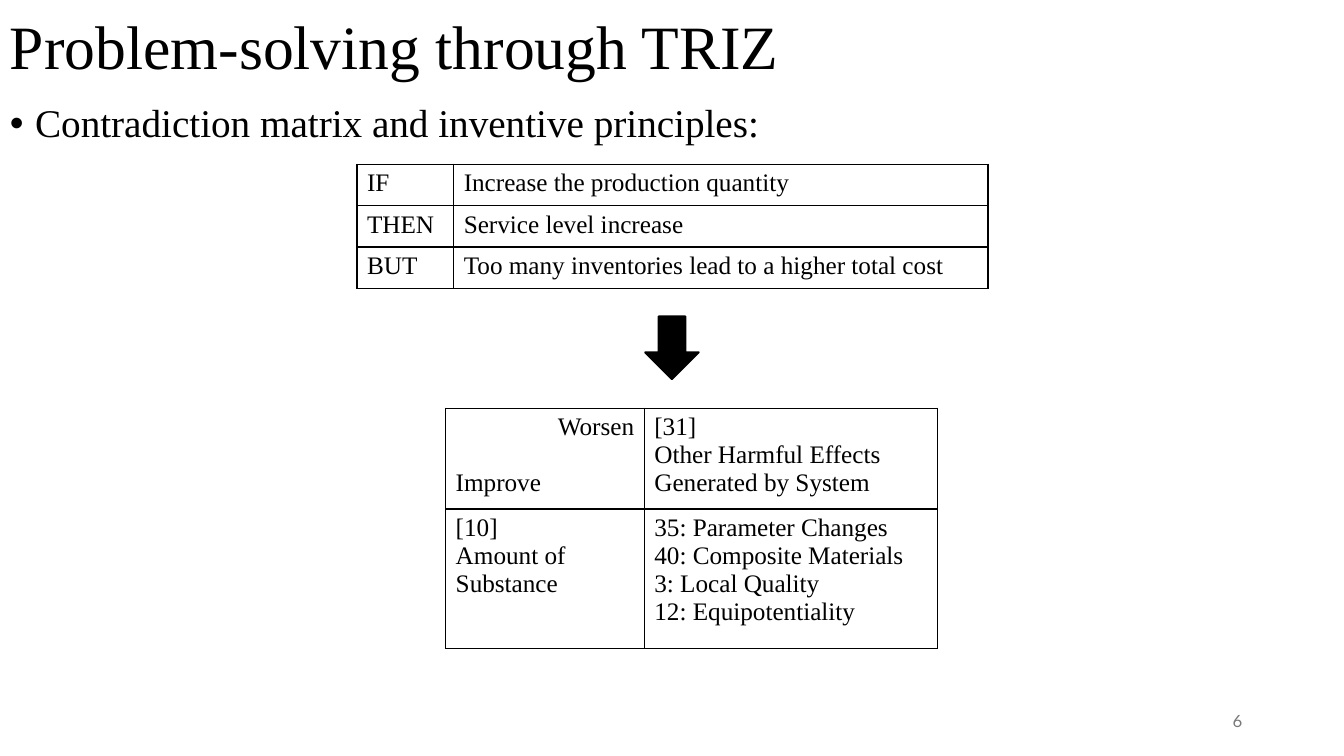
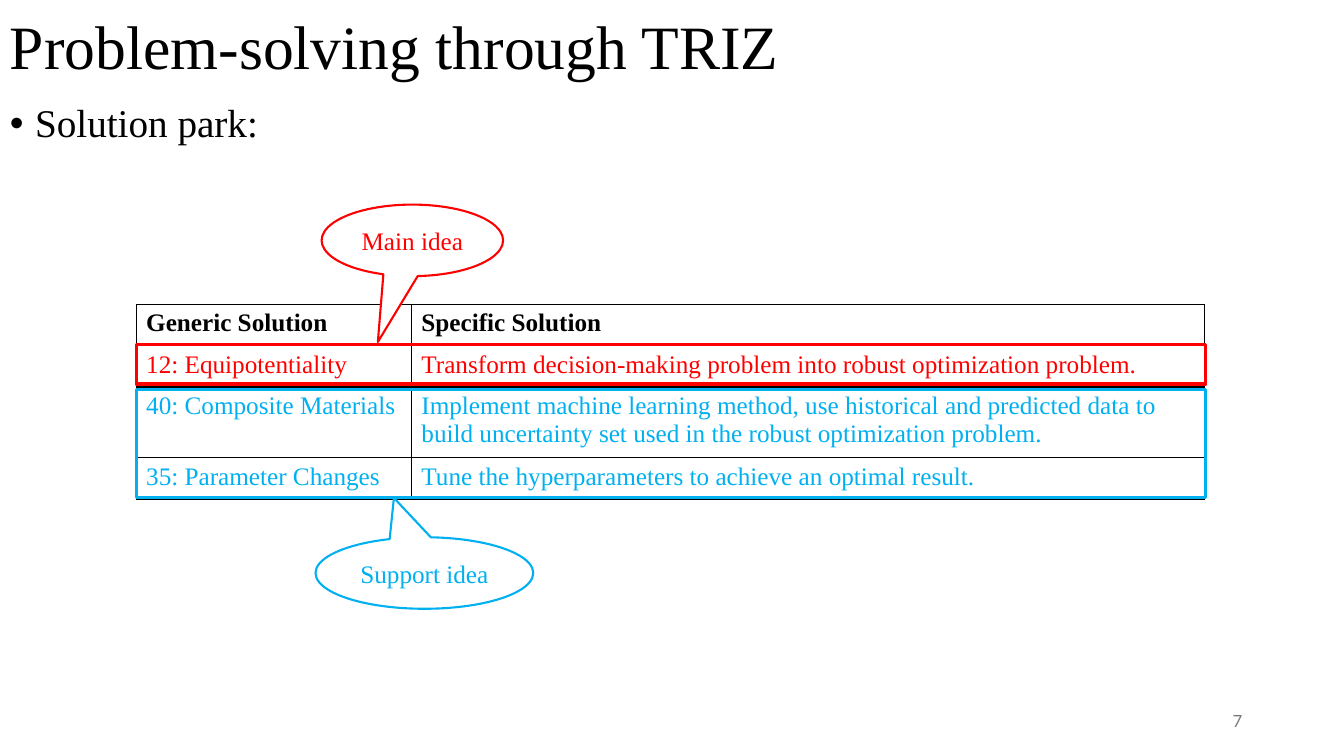
import lxml.etree
import pptx
import pptx.dml.color
import pptx.enum.shapes
import pptx.enum.text
import pptx.oxml.ns
import pptx.util

Inches = pptx.util.Inches
Pt = pptx.util.Pt
qn = pptx.oxml.ns.qn
ALIGN = pptx.enum.text.PP_ALIGN
ANCHOR = pptx.enum.text.MSO_ANCHOR
SHAPE = pptx.enum.shapes.MSO_SHAPE

COLORS = {
    "ink": "000000",
    "paper": "FFFFFF",
    "number": "797979",
    "main": "FF0000",
    "support": "00B0F0",
}
SERIF = "Times New Roman"


def rgb(name):
    return pptx.dml.color.RGBColor.from_string(COLORS[name])


def write(paragraph, text, size=18, font=SERIF, color="ink", bold=False,
          align=ALIGN.LEFT, line_spacing=None, before=0):
    paragraph.alignment = align
    paragraph.space_before = Pt(before)
    if line_spacing:
        paragraph.line_spacing = line_spacing
    span = paragraph.add_run()
    span.text = text
    span.font.size = Pt(size)
    span.font.name = font
    span.font.bold = bold
    span.font.color.rgb = rgb(color)


class Slides:
    def __init__(self):
        self.deck = pptx.Presentation()
        self.deck.slide_width = Inches(13.33)
        self.deck.slide_height = Inches(7.5)
        self.page = None

    def start(self, title, topic, number):
        self.page = self.deck.slides.add_slide(self.deck.slide_layouts[6])
        self.text(0, 0, 11.5, 0.98, title, ANCHOR.MIDDLE, size=44, line_spacing=0.9)
        self.bullet(topic)
        self.text(9.42, 6.95, 3, 0.4, number, ANCHOR.MIDDLE, size=12, font="Lato",
                  color="number", align=ALIGN.RIGHT)

    def text(self, left, top, width, height, text, anchor=ANCHOR.TOP, **style):
        box = self.page.shapes.add_textbox(
            Inches(left), Inches(top), Inches(width), Inches(height))
        box.text_frame.word_wrap = True
        box.text_frame.vertical_anchor = anchor
        paragraph = box.text_frame.paragraphs[0]
        write(paragraph, text, **style)
        return paragraph

    def bullet(self, text):
        paragraph = self.text(0, 0.98, 11.5, 6.52, text, size=28,
                              line_spacing=0.9, before=10)
        properties = paragraph._p.get_or_add_pPr()
        properties.set("marL", str(Inches(0.25)))
        properties.set("indent", str(-Inches(0.25)))
        lxml.etree.SubElement(properties, qn("a:buFont"), typeface="Arial")
        lxml.etree.SubElement(properties, qn("a:buChar"), char="•")

    def table(self, left, top, widths, heights, rows, styles=None):
        table = self.page.shapes.add_table(
            len(rows), len(widths), Inches(left), Inches(top),
            Inches(sum(widths)), Inches(sum(heights))).table
        table.first_row = False
        table.horz_banding = False
        for column, width in zip(table.columns, widths):
            column.width = Inches(width)
        for row, height in zip(table.rows, heights):
            row.height = Inches(height)
        for row_index, texts in enumerate(rows):
            style = styles[row_index] if styles else {}
            for column_index, content in enumerate(texts):
                cell = table.cell(row_index, column_index)
                self.border(cell)
                cell.fill.background()
                lines = [content] if isinstance(content, str) else content
                for line_index, line in enumerate(lines):
                    frame = cell.text_frame
                    paragraph = frame.add_paragraph() if line_index else frame.paragraphs[0]
                    text, extra = (line, {}) if isinstance(line, str) else line
                    write(paragraph, text, **style, **extra)

    def border(self, cell):
        properties = cell._tc.get_or_add_tcPr()
        for side in ("a:lnL", "a:lnR", "a:lnT", "a:lnB"):
            line = lxml.etree.SubElement(properties, qn(side), w=str(Pt(1)))
            fill = lxml.etree.SubElement(line, qn("a:solidFill"))
            lxml.etree.SubElement(fill, qn("a:srgbClr"), val=COLORS["ink"])

    def shape(self, kind, left, top, width, height, line, fill=None, weight=1.5):
        shape = self.page.shapes.add_shape(
            kind, Inches(left), Inches(top), Inches(width), Inches(height))
        shape.shadow.inherit = False
        shape.line.color.rgb = rgb(line)
        shape.line.width = Pt(weight)
        if fill:
            shape.fill.solid()
            shape.fill.fore_color.rgb = rgb(fill)
        else:
            shape.fill.background()
        return shape

    def callout(self, left, top, width, text, color, tip):
        callout = self.shape(SHAPE.OVAL_CALLOUT, left, top, width, 0.71, color, "paper")
        for index, value in enumerate(tip):
            callout.adjustments[index] = value
        callout.text_frame.word_wrap = True
        callout.text_frame.vertical_anchor = ANCHOR.MIDDLE
        write(callout.text_frame.paragraphs[0], text, color=color, align=ALIGN.CENTER)

    def frame(self, top, height, color):
        self.shape(SHAPE.RECTANGLE, 1.35, top, 10.61, height, color, weight=2.25)


def contradiction_page(slides, title):
    slides.start(title, "Contradiction matrix and inventive principles:", "6")
    slides.table(3.54, 1.63, [0.96, 5.3], [0.41] * 3, [
        ["IF", "Increase the production quantity"],
        ["THEN", "Service level increase"],
        ["BUT", "Too many inventories lead to a higher total cost"],
    ])
    slides.shape(SHAPE.DOWN_ARROW, 6.4, 3.14, 0.53, 0.62, "ink", "ink")
    slides.table(4.42, 4.05, [1.97, 2.91], [0.93, 1.38], [
        [[("Worsen", {"align": ALIGN.RIGHT}), ("Improve", {"before": 20})],
         ["[31]", "Other Harmful Effects Generated by System"]],
        [["[10]", "Amount of Substance"],
         ["35: Parameter Changes", "40: Composite Materials",
          "3: Local Quality", "12: Equipotentiality"]],
    ])


def solution_page(slides, title):
    slides.start(title, "Solution park:", "7")
    main, support = {"color": "main"}, {"color": "support"}
    slides.table(1.35, 3.02, [2.73, 7.87], [0.41, 0.41, 0.65, 0.41], [
        ["Generic Solution", "Specific Solution"],
        ["12: Equipotentiality",
         "Transform decision-making problem into robust optimization problem."],
        ["40: Composite Materials",
         "Implement machine learning method, use historical and predicted data to "
         "build uncertainty set used in the robust optimization problem."],
        ["35: Parameter Changes", "Tune the hyperparameters to achieve an optimal result."],
    ], [{"bold": True}, main, support, support])
    slides.callout(3.19, 2.03, 1.8, "Main idea", "main", (-0.19, 1.42))
    slides.callout(3.13, 5.33, 2.16, "Support idea", "support", (-0.14, -1.05))
    slides.frame(3.42, 0.39, "main")
    slides.frame(3.86, 1.08, "support")


def main():
    slides = Slides()
    title = "Problem-solving through TRIZ"
    contradiction_page(slides, title)
    solution_page(slides, title)
    slides.deck.save("out.pptx")


if __name__ == "__main__":
    main()
